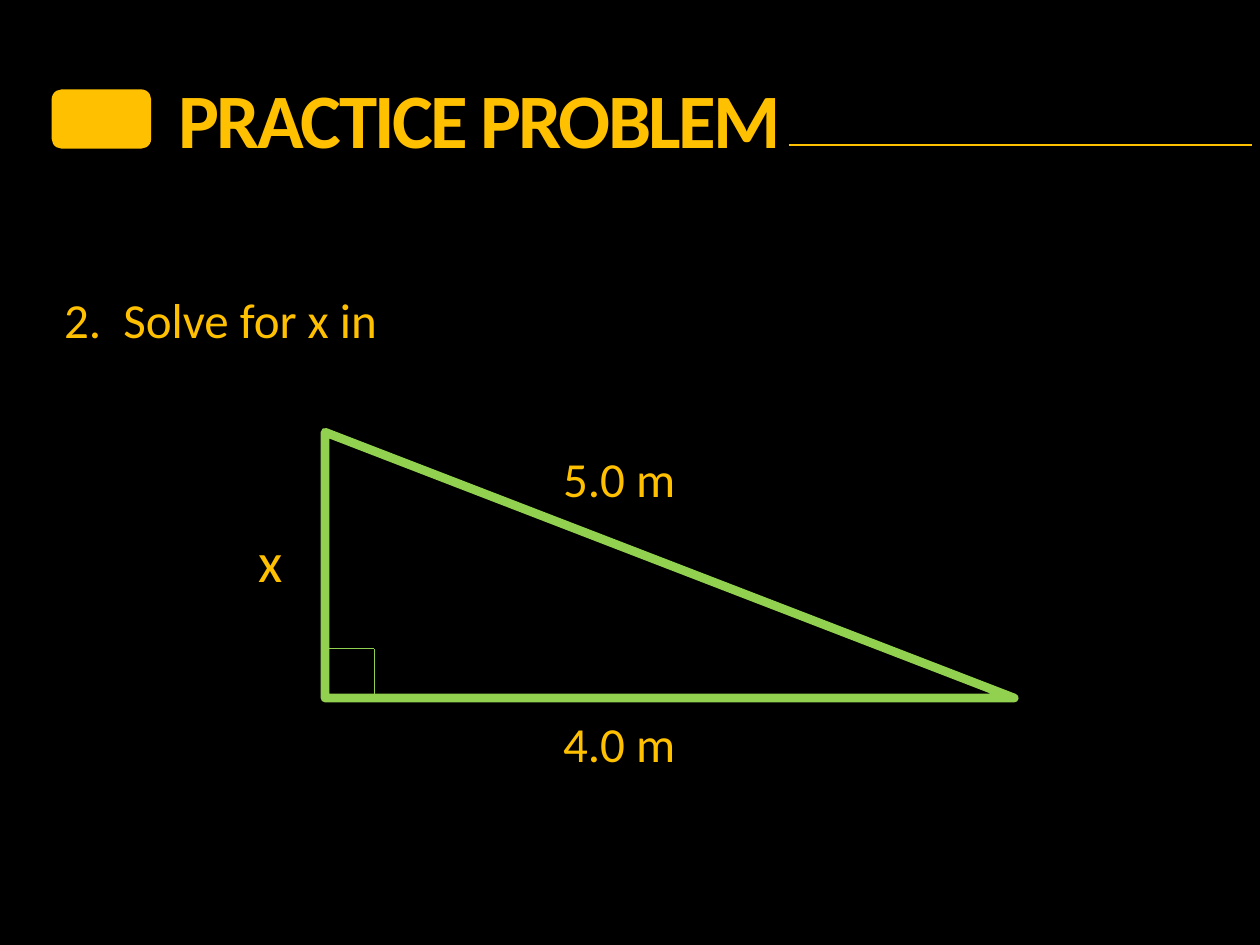
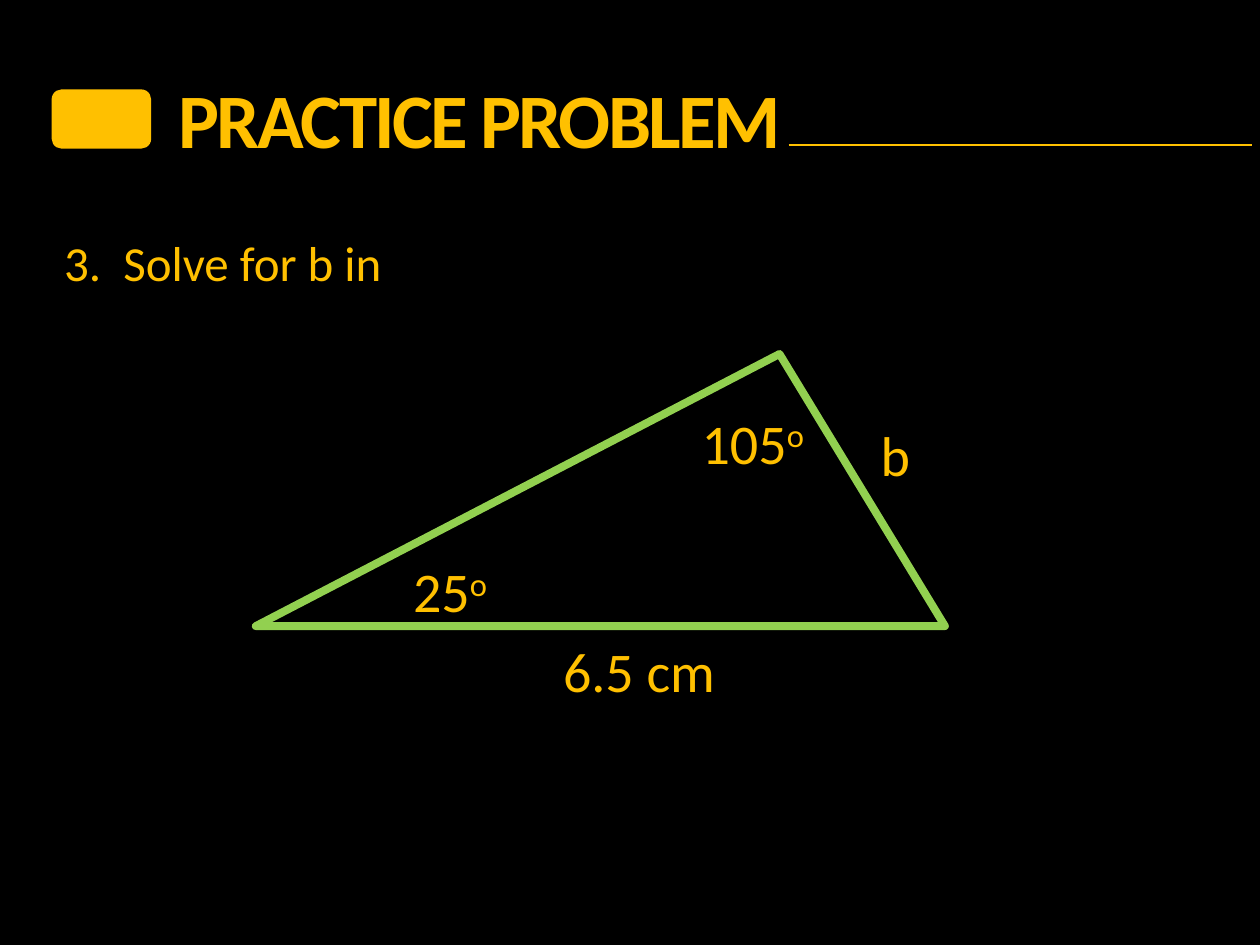
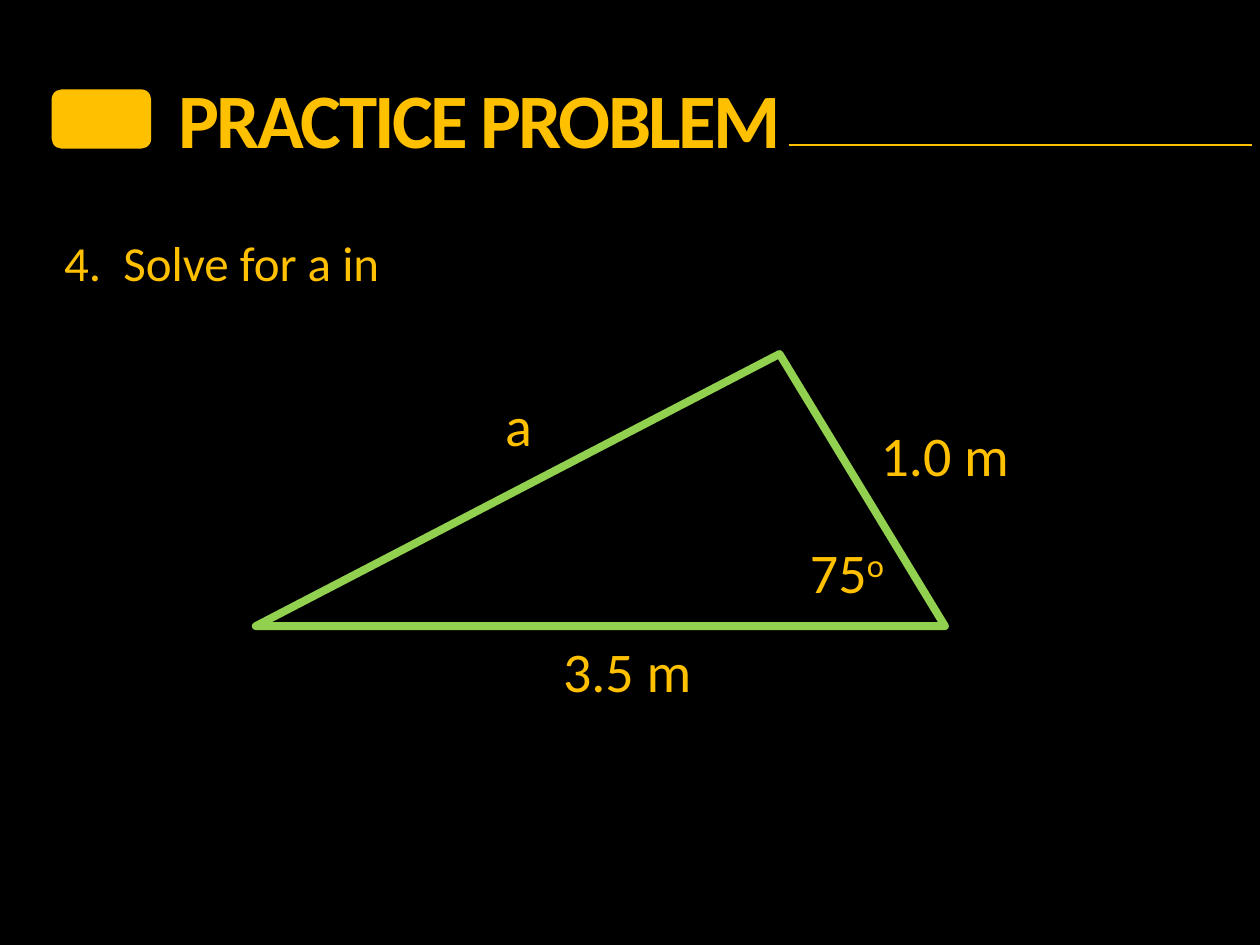
from lxml.etree import SubElement
from pptx import Presentation
from pptx.dml.color import RGBColor
from pptx.enum.shapes import MSO_CONNECTOR, MSO_SHAPE
from pptx.oxml.ns import qn
from pptx.util import Pt

FONT = "Calibri"
BLACK, GOLD, GREEN = "000000", "FFC000", "92D050"
TRIANGLE_LEFT, TRIANGLE_WIDTH = 146.16, 393.84
BASE_LABEL_LEFT = 314.64


def color(hex_code):
    return RGBColor.from_string(hex_code)


def add_run(p, text, size, bold=False):
    r = p.add_run()
    r.text = text
    r.font.name = FONT
    r.font.size = Pt(size)
    r.font.bold = bold
    r.font.color.rgb = color(GOLD)
    return r


def add_text(s, left, top, width, height):
    """Add an empty wrapping text box and return its first paragraph."""
    tf = s.shapes.add_textbox(Pt(left), Pt(top), Pt(width), Pt(height)).text_frame
    tf.word_wrap = True
    return tf.paragraphs[0]


def add_line(s, x1, y1, x2, y2, line_color):
    line = s.shapes.add_connector(MSO_CONNECTOR.STRAIGHT, Pt(x1), Pt(y1), Pt(x2), Pt(y2))
    line.line.color.rgb = color(line_color)
    line.line.width = Pt(0.75)
    SubElement(line._element.spPr, qn("a:effectLst"))


def add_title(s):
    p = add_text(s, 94.8, 37.44, 621, 60.5)
    r = add_run(p, "PRACTICE PROBLEM", 44, bold=True)
    r.font._element.set("spc", "-150")
    badge = s.shapes.add_shape(MSO_SHAPE.ROUNDED_RECTANGLE, Pt(29.52), Pt(51.12), Pt(56.88), Pt(33.84))
    badge.shadow.inherit = False
    badge.fill.solid()
    badge.fill.fore_color.rgb = color(GOLD)
    badge.line.fill.background()
    add_line(s, 450.72, 82.8, 715.68, 82.8, GOLD)


def add_question(s, number, unknown, top):
    p = add_text(s, 29.52, top, 303.84, 41)
    hanging = Pt(33.9)
    pPr = p._p.get_or_add_pPr()
    pPr.set("marL", str(hanging))
    pPr.set("indent", str(-hanging))
    add_run(p, f"{number}.\tSolve for {unknown} in", 28)


def add_label(s, text, left, top, width, size=32):
    add_run(add_text(s, left, top, width, size * 1.44), text, size)


def add_angle(s, degrees, left, top, width):
    """Add an angle label whose degree sign is a raised letter o."""
    p = add_text(s, left, top, width, 46)
    add_run(p, degrees, 32)
    add_run(p, "o", 32).font._element.set("baseline", "30000")


def add_triangle(s, preset, left, top, height, line_width):
    sp = s.shapes.add_shape(preset, Pt(left), Pt(top), Pt(TRIANGLE_WIDTH), Pt(height))
    sp.shadow.inherit = False
    sp.fill.background()
    sp.line.color.rgb = color(GREEN)
    sp.line.width = Pt(line_width)
    return sp


def add_right_triangle(s):
    left, top, height, mark = 185.76, 246.96, 151.92, 28.1
    bottom = top + height
    add_triangle(s, MSO_SHAPE.RIGHT_TRIANGLE, left, top, height, 5)
    add_line(s, left, bottom - mark, left + mark, bottom - mark, GREEN)
    add_line(s, left + mark, bottom - mark, left + mark, bottom, GREEN)


def add_oblique_triangle(s, base, right_side, right_width):
    """Add the scalene triangle with its base and right side labelled."""
    sp = add_triangle(s, MSO_SHAPE.ISOSCELES_TRIANGLE, TRIANGLE_LEFT, 202.32, 155.52, 4.5)
    sp.adjustments[0] = 0.76
    add_label(s, base, BASE_LABEL_LEFT, 360, 131)
    add_label(s, right_side, 496.08, 236.88, right_width)


def add_problem(prs, number, unknown, question_top=129.6):
    s = prs.slides.add_slide(prs.slide_layouts[6])
    add_title(s)
    add_question(s, number, unknown, question_top)
    return s


def main():
    prs = Presentation()
    prs.slide_width, prs.slide_height = Pt(720), Pt(540)
    background = prs.slide_master.background.fill
    background.solid()
    background.fore_color.rgb = color(BLACK)

    s = add_problem(prs, 2, "x", question_top=162)
    add_right_triangle(s)
    add_label(s, "x", 140.4, 297.36, 34)
    add_label(s, "5.0 m", BASE_LABEL_LEFT, 252.72, 90, size=28)
    add_label(s, "4.0 m", BASE_LABEL_LEFT, 403.92, 90, size=28)

    s = add_problem(prs, 3, "b")
    add_oblique_triangle(s, "6.5 cm", "b", 34)
    add_angle(s, "25", 228.96, 314.64, 131)
    add_angle(s, "105", 393.84, 229.68, 84)

    s = add_problem(prs, 4, "a")
    add_oblique_triangle(s, "3.5 m", "1.0 m", 106)
    add_angle(s, "75", 455.76, 303.84, 69)
    add_label(s, "a", 281.52, 219.6, 34)

    prs.save("out.pptx")


if __name__ == "__main__":
    main()
